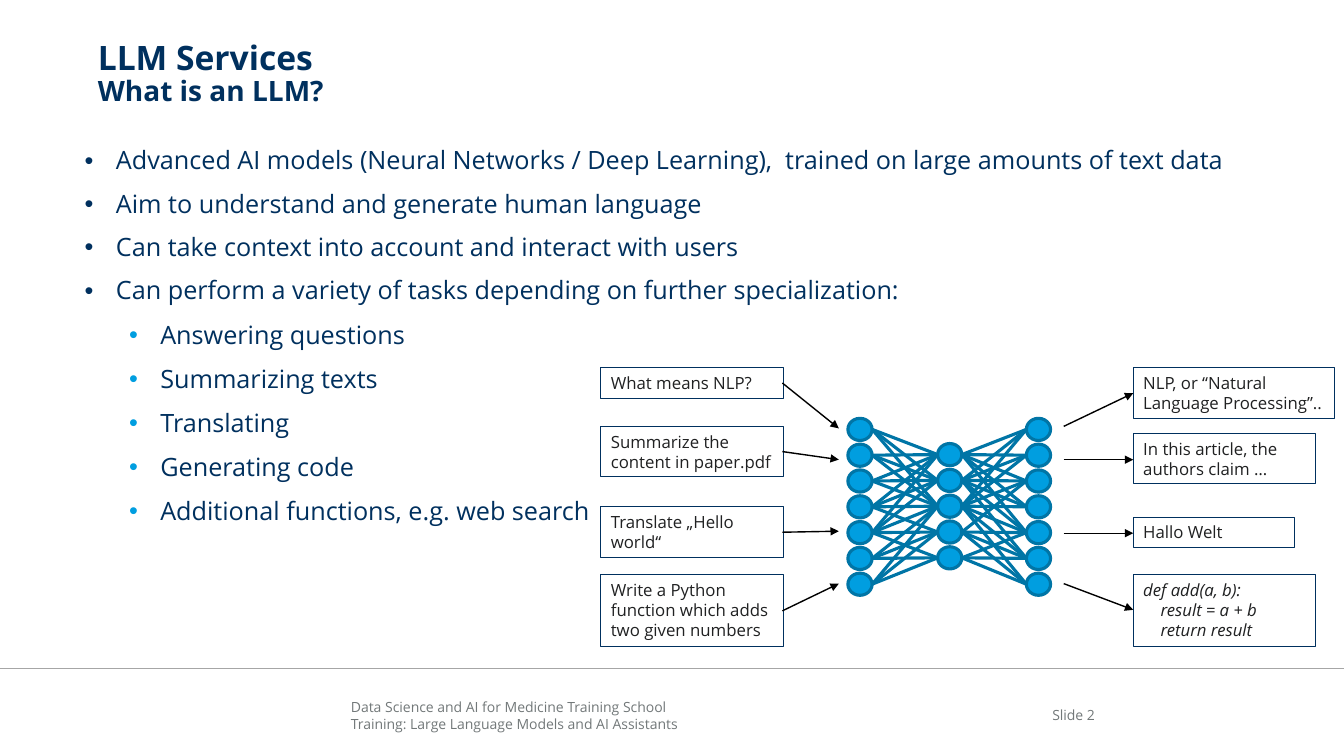
from dataclasses import dataclass

from lxml.etree import SubElement
from pptx import Presentation
from pptx.dml.color import RGBColor
from pptx.enum.shapes import MSO_CONNECTOR as Connector, MSO_SHAPE as Shape
from pptx.enum.text import MSO_ANCHOR as Anchor, MSO_AUTO_SIZE as AutoSize, PP_ALIGN as Align
from pptx.oxml.ns import qn
from pptx.util import Inches, Pt


@dataclass(frozen=True)
class Theme:
    font: str = "Open Sans"
    navy: str = "00305E"
    text: str = "202122"
    footer: str = "727879"
    rule: str = "A6A6A6"
    arrow: str = "000000"
    node: str = "009EE0"
    edge: str = "0075A6"
    title_size: float = 24
    subtitle_size: float = 20
    body_size: float = 18
    box_size: float = 12
    footer_size: float = 10


class SlideBuilder:
    def __init__(self, slide, theme):
        self.slide = slide
        self.theme = theme

    def style(self, font, size, color, bold=False, italic=False):
        font.name = self.theme.font
        font.size = Pt(size)
        font.color.rgb = RGBColor.from_string(color)
        font.bold = bold
        font.italic = italic

    def frame(self, shape, margins=(0, 0)):
        frame = shape.text_frame
        frame.word_wrap = True
        frame.auto_size = AutoSize.NONE
        frame.vertical_anchor = Anchor.TOP
        frame.margin_left = frame.margin_right = Inches(margins[0])
        frame.margin_top = frame.margin_bottom = Inches(margins[1])
        return frame

    def place(self, shape, left, top, width, height):
        shape.left, shape.top = Inches(left), Inches(top)
        shape.width, shape.height = Inches(width), Inches(height)

    def lines(self, frame, lines, size, color, align=Align.LEFT, italic=False):
        for index, line in enumerate(lines):
            paragraph = frame.paragraphs[0] if index == 0 else frame.add_paragraph()
            paragraph.text = line
            paragraph.alignment = align
            self.style(paragraph.font, size, color, italic=italic)

    def title(self, heading, subheading, *bounds):
        shape = self.slide.shapes.title
        self.place(shape, *bounds)
        paragraph = self.frame(shape).paragraphs[0]
        paragraph.alignment = Align.LEFT
        paragraph.line_spacing = 0.9
        self.style(paragraph.font, self.theme.title_size, self.theme.navy, bold=True)
        paragraph.add_run().text = heading
        paragraph.add_line_break()
        second = paragraph.add_run()
        second.text = subheading
        second.font.size = Pt(self.theme.subtitle_size)

    def bullets(self, items, *bounds):
        shape = self.slide.placeholders[1]
        self.place(shape, *bounds)
        frame = self.frame(shape)
        for index, (level, text) in enumerate(items):
            paragraph = frame.paragraphs[0] if index == 0 else frame.add_paragraph()
            paragraph.text = text
            paragraph.level = level
            paragraph.alignment = Align.LEFT
            paragraph.line_spacing = (0.9, 1.35)[level]
            paragraph.space_before = Pt((11.5, 2.3)[level] if index else 0)
            properties = paragraph._p.get_or_add_pPr()
            properties.set("marL", str(Inches((0.31, 0.75)[level])))
            properties.set("indent", str(Inches(-0.31)))
            color = SubElement(properties, qn("a:buClr"))
            bullet_color = (self.theme.navy, self.theme.node)[level]
            SubElement(color, qn("a:srgbClr")).set("val", bullet_color)
            SubElement(properties, qn("a:buFont")).set("typeface", "Arial")
            SubElement(properties, qn("a:buChar")).set("char", "•")
            self.style(paragraph.font, self.theme.body_size, self.theme.navy)

    def note(self, lines, left, top, width, height, align=Align.LEFT):
        shape = self.slide.shapes.add_textbox(
            Inches(left), Inches(top), Inches(width), Inches(height))
        self.lines(self.frame(shape), lines, self.theme.footer_size, self.theme.footer, align)

    def shape(self, kind, left, top, width, height, line_color, line_width, fill=None):
        shape = self.slide.shapes.add_shape(
            kind, Inches(left), Inches(top), Inches(width), Inches(height))
        shape.shadow.inherit = False
        if fill:
            shape.fill.solid()
            shape.fill.fore_color.rgb = RGBColor.from_string(fill)
        else:
            shape.fill.background()
        shape.line.color.rgb = RGBColor.from_string(line_color)
        shape.line.width = Pt(line_width)
        return shape

    def box(self, lines, left, top, width, height, italic=False):
        shape = self.shape(Shape.RECTANGLE, left, top, width, height, self.theme.navy, 0.75)
        self.lines(self.frame(shape, (0.1, 0.05)), lines, self.theme.box_size,
                   self.theme.text, italic=italic)

    def node(self, left, top, width, height):
        self.shape(Shape.OVAL, left, top, width, height, self.theme.edge, 2.25, self.theme.node)

    def line(self, start, end, color, width, arrow=False):
        connector = self.slide.shapes.add_connector(
            Connector.STRAIGHT, *(Inches(value) for value in (*start, *end)))
        connector.line.color.rgb = RGBColor.from_string(color)
        connector.line.width = Pt(width)
        if arrow:
            SubElement(connector.line._get_or_add_ln(), qn("a:tailEnd")).set("type", "triangle")
        SubElement(connector._element.spPr, qn("a:effectLst"))


BULLETS = [
    (0, "Advanced AI models (Neural Networks / Deep Learning),  trained on large amounts of text data"),
    (0, "Aim to understand and generate human language"),
    (0, "Can take context into account and interact with users"),
    (0, "Can perform a variety of tasks depending on further specialization:"),
    (1, "Answering questions"),
    (1, "Summarizing texts"),
    (1, "Translating"),
    (1, "Generating code"),
    (1, "Additional functions, e.g. web search"),
]

# Text, top, height, arrow start, arrow end
PROMPTS = [
    ("What means NLP?", 3.65, 0.3, 3.8, 4.25),
    ("Summarize the content in paper.pdf", 4.23, 0.5, 4.48, 4.56),
    ("Translate „Hello world“", 5.03, 0.5, 5.28, 5.27),
    ("Write a Python function which adds two given numbers", 5.7, 0.71, 6.06, 5.79),
]

# Lines, top, width, height, italic, arrow start, arrow end
ANSWERS = [
    (["NLP, or “Natural Language Processing”.."], 3.65, 2, 0.5, False, 4.23, 3.9),
    (["In this article, the authors claim …"], 4.3, 1.81, 0.5, False, 4.56, 4.56),
    (["Hallo Welt"], 5.13, 1.6, 0.3, False, 5.29, 5.29),
    (["def add(a, b):", "    result = a + b", "    return result"],
     5.7, 1.81, 0.71, True, 5.79, 6.05),
]

# Hidden nodes linked to each outer node, from top to bottom
INPUT_LINKS = ["012", "012", "012", "0123", "01234", "234", "234"]
OUTPUT_LINKS = ["012", "012", "0123", "012", "01234", "1234", "234"]


def draw_network(builder):
    width, height, pitch = 0.24, 0.22, 0.256
    input_left, hidden_left, output_left = 8.41, 9.3, 10.18
    outer_top, hidden_top = 4.15, 4.4

    def middle(top, index):
        return top + index * pitch + height / 2

    sides = [(input_left + width, hidden_left, INPUT_LINKS),
             (output_left, hidden_left + width, OUTPUT_LINKS)]
    for outer_x, hidden_x, links in sides:
        for outer, targets in enumerate(links):
            for hidden in map(int, targets):
                builder.line((outer_x, middle(outer_top, outer)),
                             (hidden_x, middle(hidden_top, hidden)), builder.theme.edge, 2.25)
    layers = [(input_left, outer_top, 7), (hidden_left, hidden_top, 5), (output_left, outer_top, 7)]
    for left, top, count in layers:
        for index in range(count):
            builder.node(left, top + index * pitch, width, height)


def main():
    presentation = Presentation()
    presentation.slide_width, presentation.slide_height = Inches(13.33), Inches(7.5)
    slide = presentation.slides.add_slide(presentation.slide_layouts[1])
    theme = Theme()
    builder = SlideBuilder(slide, theme)

    # Footer
    builder.line((0, 6.63), (13.33, 6.63), theme.rule, 1)
    builder.note(["Slide 2"], 9.95, 7.01, 0.91, 0.2, Align.RIGHT)
    builder.note(["Data Science and AI for Medicine Training School",
                  "Training: Large Language Models and AI Assistants"], 3.48, 6.93, 6.21, 0.34)

    # Title and list
    builder.title("LLM Services", "What is an LLM?", 0.97, 0.41, 11.23, 0.89)
    builder.bullets(BULLETS, 0.84, 1.47, 11.37, 5.14)

    # Prompts and answers
    for text, top, height, start, end in PROMPTS:
        builder.box([text], 5.96, top, 1.81, height)
        builder.line((7.76, start), (8.32, end), theme.arrow, 1, arrow=True)
    for lines, top, width, height, italic, start, end in ANSWERS:
        builder.box(lines, 11.24, top, width, height, italic)
        builder.line((10.55, start), (11.24, end), theme.arrow, 1, arrow=True)

    draw_network(builder)
    presentation.save("out.pptx")


if __name__ == "__main__":
    main()
